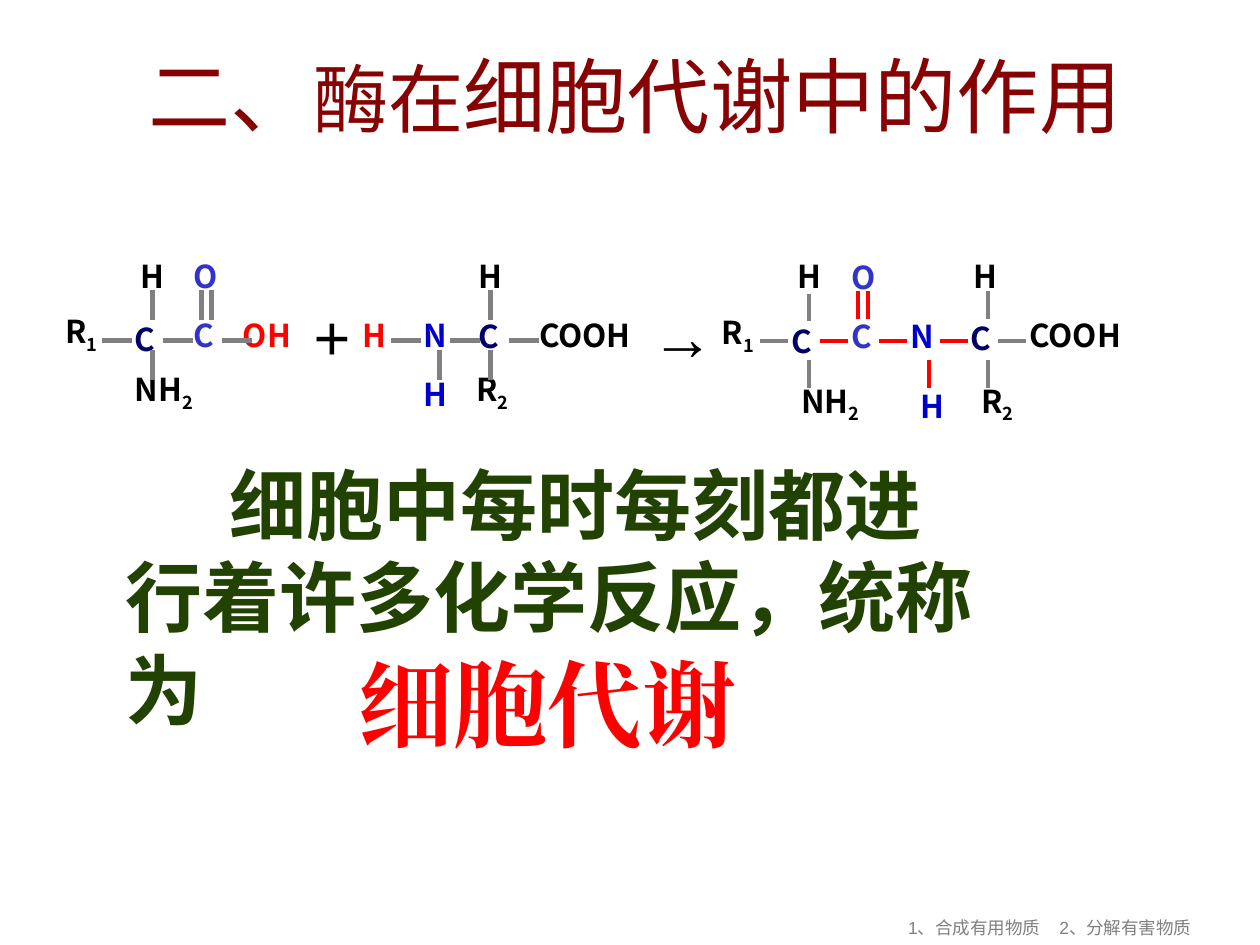
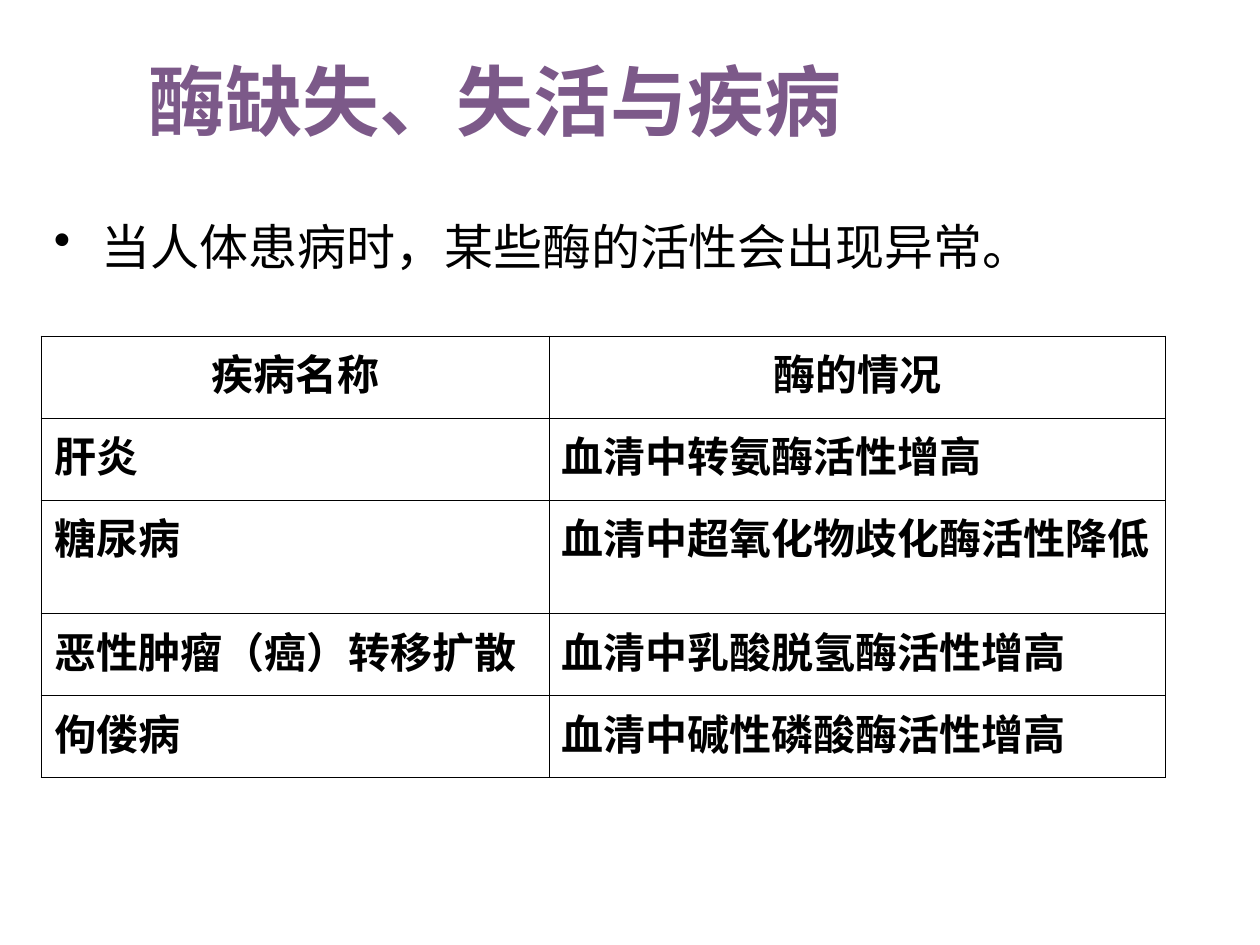
"""Build two slides on enzymes: their part in cell metabolism and in disease."""
from dataclasses import dataclass
from typing import NamedTuple

from lxml import etree
from pptx import Presentation
from pptx.dml.color import RGBColor
from pptx.enum.shapes import MSO_CONNECTOR
from pptx.enum.text import MSO_ANCHOR, PP_ALIGN
from pptx.oxml.ns import qn
from pptx.util import Inches, Pt

STRAIGHT = MSO_CONNECTOR.STRAIGHT
TOP, MIDDLE = MSO_ANCHOR.TOP, MSO_ANCHOR.MIDDLE
LEFT, CENTER = PP_ALIGN.LEFT, PP_ALIGN.CENTER

COLORS = {
    "maroon": "870303",
    "purple": "7C5989",
    "forest": "214200",
    "black": "000000",
    "gray": "808080",
    "red": "FF0000",
    "navy": "000066",
    "blue": "0000CC",
    "indigo": "3333CC",
}
TITLE_FONT, BODY_FONT, ATOM_FONT = "Lato", "Karla", "Noto Sans CJK SC"
SYMBOL_FONT, TERM_FONT = "Arial", "Times New Roman"
LINE_FACTOR, CELL_LINE_FACTOR = 1.2, 1.4
ATOM_SIZE = 18
ATOM_WIDTHS = {"R": 0.83, "NH": 1.5, "COOH": 1.75, "OH": 0.7}
THIN, THICK = 0.45, 1.08


class Span(NamedTuple):
    """A run of text in one style."""
    text: str
    size: float
    font: str
    color: str
    bold: bool = False
    subscript: bool = False


class Frame(NamedTuple):
    """A place on the page in inches."""
    left: float
    top: float
    width: float
    height: float


class Atom(NamedTuple):
    """An atom or group of atoms, with an optional subscript."""
    label: str
    color: str
    left: float
    top: float
    subscript: str = ""


class Bond(NamedTuple):
    """A bond that runs right or down from its start."""
    left: float
    top: float
    color: str = "gray"
    vertical: bool = False


@dataclass
class Formula:
    """Atoms and bonds that share a bond style."""
    atoms: list[Atom]
    bonds: list[Bond]
    bond_length: float
    bond_width: float


REACTANTS = Formula(
    atoms=[
        Atom("R", "black", 0.42, 2.47, "1"),
        Atom("C", "navy", 0.97, 2.49),
        Atom("H", "black", 1.02, 1.99),
        Atom("NH", "black", 0.97, 2.93, "2"),
        Atom("O", "indigo", 1.44, 1.99),
        Atom("C", "indigo", 1.44, 2.46),
        Atom("OH", "red", 1.83, 2.46),
        Atom("H", "red", 2.78, 2.46),
        Atom("N", "blue", 3.26, 2.46),
        Atom("H", "blue", 3.26, 2.93),
        Atom("C", "navy", 3.7, 2.47),
        Atom("H", "black", 3.7, 1.99),
        Atom("R", "black", 3.68, 2.93, "2"),
        Atom("COOH", "black", 4.18, 2.46),
    ],
    bonds=[Bond(left, 2.7) for left in (0.81, 1.29, 1.76, 3.1, 3.57, 4.04)]
    + [Bond(left, 2.3, vertical=True) for left in (1.21, 1.6, 1.68, 3.89)]
    + [Bond(left, 2.78, vertical=True) for left in (1.21, 3.49, 3.89)],
    bond_length=0.24,
    bond_width=2.75,
)
PRODUCT = Formula(
    atoms=[
        Atom("R", "black", 5.63, 2.48, "1"),
        Atom("C", "navy", 6.18, 2.51),
        Atom("H", "black", 6.23, 1.99),
        Atom("NH", "black", 6.26, 3.02, "2"),
        Atom("O", "indigo", 6.66, 2),
        Atom("C", "indigo", 6.66, 2.47),
        Atom("N", "blue", 7.13, 2.47),
        Atom("H", "blue", 7.21, 3.02),
        Atom("C", "navy", 7.6, 2.48),
        Atom("H", "black", 7.63, 1.99),
        Atom("R", "black", 7.69, 3.02, "2"),
        Atom("COOH", "black", 8.07, 2.46),
    ],
    bonds=[Bond(left, 2.71) for left in (6.03, 7.92)]
    + [Bond(left, 2.71, "red") for left in (6.51, 6.98, 7.46)]
    + [Bond(left, 2.31, "red", True) for left in (6.81, 6.89)]
    + [Bond(6.42, 2.33, vertical=True), Bond(7.84, 2.31, vertical=True)]
    + [Bond(left, 2.86, vertical=True) for left in (6.42, 7.84)]
    + [Bond(7.37, 2.86, "red", True)],
    bond_length=0.22,
    bond_width=2.25,
)
DISEASE_ROWS = [
    ("疾病名称", "酶的情况"),
    ("肝炎", "血清中转氨酶活性增高"),
    ("糖尿病", "血清中超氧化物歧化酶活性降低"),
    ("恶性肿瘤（癌）转移扩散", "血清中乳酸脱氢酶活性增高"),
    ("佝偻病", "血清中碱性磷酸酶活性增高"),
]
COLUMN_WIDTHS = (4.03, 4.89)
ROW_HEIGHTS = (0.65, 0.65, 0.9, 0.65, 0.65)


def rgb(name: str) -> RGBColor:
    """Return a named colour."""
    return RGBColor.from_string(COLORS[name])


def write_para(para, spans: list[Span], factor: float = LINE_FACTOR) -> None:
    """Add the spans to a paragraph and set its line height."""
    para.line_spacing = Pt(round(factor * max(span.size for span in spans), 1))
    for span in spans:
        run = para.add_run()
        run.text = span.text
        run.font.size = Pt(span.size)
        run.font.name = span.font
        run.font.bold = span.bold
        run.font.color.rgb = rgb(span.color)
        properties = run._r.get_or_add_rPr()
        etree.SubElement(properties, qn("a:ea"), typeface=span.font)
        if span.subscript:
            properties.set("baseline", "-25000")


def add_text(shapes, frame: Frame, spans: list[Span], anchor=TOP, wrap: bool = True):
    """Add a text box and return its paragraph."""
    box = shapes.add_textbox(*(Inches(length) for length in frame))
    box.text_frame.word_wrap = wrap
    box.text_frame.vertical_anchor = anchor
    para = box.text_frame.paragraphs[0]
    write_para(para, spans)
    return para


def add_title(page, frame: Frame, spans: list[Span]) -> None:
    """Add a slide title centred on its height."""
    add_text(page.shapes, frame, spans, MIDDLE)


def set_indent(para, margin: float, first_line: float) -> None:
    """Set the left margin and first line indent of a paragraph."""
    properties = para._p.get_or_add_pPr()
    properties.set("marL", str(Inches(margin)))
    properties.set("indent", str(Inches(first_line)))


def add_bond(shapes, bond: Bond, length: float, width: float) -> None:
    """Draw one bond."""
    right = bond.left + (0 if bond.vertical else length)
    bottom = bond.top + (length if bond.vertical else 0)
    ends = (bond.left, bond.top, right, bottom)
    line = shapes.add_connector(STRAIGHT, *(Inches(place) for place in ends))
    line.line.color.rgb = rgb(bond.color)
    line.line.width = Pt(width)
    etree.SubElement(line._element.spPr, qn("a:effectLst"))


def add_formula(page, formula: Formula) -> None:
    """Draw a formula as one group."""
    shapes = page.shapes.add_group_shape().shapes
    for atom in formula.atoms:
        spans = [Span(atom.label, ATOM_SIZE, ATOM_FONT, atom.color, True)]
        if atom.subscript:
            spans.append(Span(atom.subscript, ATOM_SIZE, ATOM_FONT, atom.color, True, True))
        width = ATOM_WIDTHS.get(atom.label, 0.58)
        height = 0.44 if atom.subscript else 0.4
        add_text(shapes, Frame(atom.left, atom.top, width, height), spans)
    for bond in formula.bonds:
        add_bond(shapes, bond, formula.bond_length, formula.bond_width)


def set_borders(cell, widths: dict[str, float]) -> None:
    """Give each side of a cell a black line."""
    properties = cell._tc.get_or_add_tcPr()
    for side, width in widths.items():
        line = etree.SubElement(properties, qn(f"a:ln{side}"), w=str(Pt(width)))
        fill = etree.SubElement(line, qn("a:solidFill"))
        etree.SubElement(fill, qn("a:srgbClr"), val=COLORS["black"])


def add_disease_table(page) -> None:
    """Add the table of diseases and enzyme changes."""
    frame = Frame(0.33, 2.67, sum(COLUMN_WIDTHS), sum(ROW_HEIGHTS))
    last_row, last_column = len(ROW_HEIGHTS) - 1, len(COLUMN_WIDTHS) - 1
    table = page.shapes.add_table(
        last_row + 1, last_column + 1, *(Inches(length) for length in frame)
    ).table
    table.first_row = table.horz_banding = False
    for column, width in zip(table.columns, COLUMN_WIDTHS):
        column.width = Inches(width)
    for row, height in zip(table.rows, ROW_HEIGHTS):
        row.height = Inches(height)
    for row_index, texts in enumerate(DISEASE_ROWS):
        for column_index, text in enumerate(texts):
            cell = table.cell(row_index, column_index)
            set_borders(cell, {
                "L": THICK if column_index == 0 else THIN,
                "R": THICK if column_index == last_column else THIN,
                "T": THICK if row_index == 0 else THIN,
                "B": THICK if row_index == last_row else THIN,
            })
            cell.fill.background()
            para = cell.text_frame.paragraphs[0]
            para.alignment = CENTER if row_index == 0 else LEFT
            write_para(para, [Span(text, 24, BODY_FONT, "black", True)], CELL_LINE_FACTOR)


def build_metabolism_page(page) -> None:
    """Build the slide on enzymes in cell metabolism."""
    add_title(page, Frame(1.08, 0.25, 8.19, 1), [
        Span("二、", 47, TITLE_FONT, "maroon"),
        Span("酶在", 43, TITLE_FONT, "maroon"),
        Span("细胞代谢中的作用", 47, TITLE_FONT, "maroon"),
    ])
    footer = add_text(page.shapes, Frame(7.11, 7.23, 2.48, 0.27), [
        Span("1、合成有用物质\t2、分解有害物质", 10, SYMBOL_FONT, "gray"),
    ], wrap=False)
    tabs = etree.SubElement(footer._p.get_or_add_pPr(), qn("a:tabLst"))
    etree.SubElement(tabs, qn("a:tab"), pos=str(Inches(1.2)), algn="l")
    statement = add_text(page.shapes, Frame(0.9, 3.58, 6.93, 2.3), [
        Span("细胞中每时每刻都进行着许多化学反应，统称为", 44, ATOM_FONT, "forest", True),
    ])
    set_indent(statement, 0, 0.82)
    add_formula(page, REACTANTS)
    add_text(page.shapes, Frame(2.39, 2.31, 0.47, 0.7),
             [Span("+", 36, SYMBOL_FONT, "black")])
    add_text(page.shapes, Frame(5.07, 2.31, 0.7, 0.7),
             [Span("→", 36, SYMBOL_FONT, "black", True)], wrap=False)
    add_formula(page, PRODUCT)
    add_text(page.shapes, Frame(2.75, 5.08, 3.67, 1),
             [Span("细胞代谢", 54, TERM_FONT, "red", True)])


def build_disease_page(page) -> None:
    """Build the slide on missing or inactive enzymes."""
    add_title(page, Frame(1.08, 0.33, 8.75, 0.92),
              [Span("酶缺失、失活与疾病", 44, TITLE_FONT, "purple", True)])
    point = add_text(page.shapes, Frame(0.33, 1.67, 8.5, 1), [
        Span("当人体患病时，某些酶的活性会出现异常。", 28, BODY_FONT, "black"),
    ])
    set_indent(point, 0.38, -0.38)
    etree.SubElement(point._p.get_or_add_pPr(), qn("a:buChar"), char="•")
    add_disease_table(page)


def main() -> None:
    """Build and save the deck."""
    deck = Presentation()
    deck.slide_width, deck.slide_height = Inches(10), Inches(7.5)
    for build_page in (build_metabolism_page, build_disease_page):
        build_page(deck.slides.add_slide(deck.slide_layouts[6]))
    deck.save("out.pptx")


if __name__ == "__main__":
    main()
